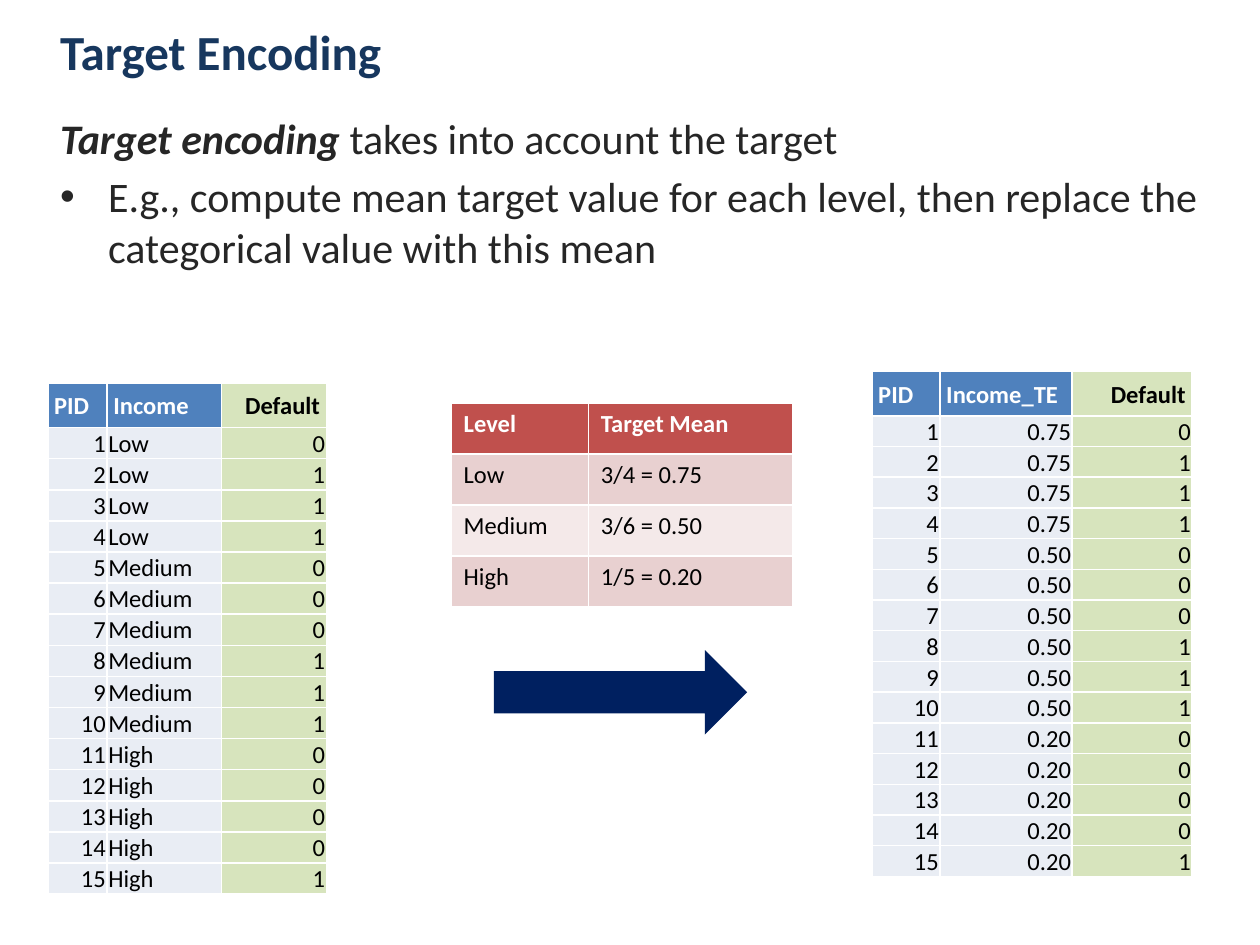
"""Build the Target Encoding slide."""
from dataclasses import dataclass

from lxml import etree
from pptx import Presentation
from pptx.dml.color import RGBColor
from pptx.enum.shapes import MSO_SHAPE
from pptx.enum.text import MSO_ANCHOR as ANCHOR, PP_ALIGN as ALIGN
from pptx.oxml.ns import qn
from pptx.util import Inches, Pt

FONT = "Calibri"
BLACK, WHITE, NAVY = "000000", "FFFFFF", "002060"
BLUE, PALE_BLUE, GREEN = "4F81BD", "E9EDF4", "D7E4BD"
RED, PINK, PALE_PINK = "C0504D", "E8D0D0", "F4E9E9"
HEADER_INSET = (0.05, 0.05, 0.05, 0.05)
DATA_INSET = (0.01, 0.01, 0.01, 0)
DEFAULT_INSET = (0.1, 0.05, 0.1, 0.05)

INCOMES = ["Low"] * 4 + ["Medium"] * 6 + ["High"] * 5
DEFAULTS = "011100011100001"
MEANS = {"Low": "3/4 = 0.75", "Medium": "3/6 = 0.50", "High": "1/5 = 0.20"}


@dataclass
class DataTable:
    left: float
    top: float
    widths: list[float]
    feature: str
    values: list[str]
    align: ALIGN


@dataclass
class CellStyle:
    fill: str
    color: str = BLACK
    bold: bool = False
    align: ALIGN = ALIGN.LEFT
    anchor: ANCHOR = ANCHOR.MIDDLE
    inset: tuple = DATA_INSET


def rgb(color: str) -> RGBColor:
    return RGBColor.from_string(color)


def style_run(r, size: float, color: str, bold: bool = False, italic: bool = False) -> None:
    r.font.name, r.font.size = FONT, Pt(size)
    r.font.bold, r.font.italic = bold, italic
    r.font.color.rgb = rgb(color)


def fill_cell(cell, text: str, style: CellStyle) -> None:
    cell.fill.solid()
    cell.fill.fore_color.rgb = rgb(style.fill)
    cell.vertical_anchor = style.anchor
    (cell.margin_left, cell.margin_top,
     cell.margin_right, cell.margin_bottom) = map(Inches, style.inset)
    cell.text_frame.text = text
    p = cell.text_frame.paragraphs[0]
    p.alignment = style.align
    style_run(p.runs[0], 14, style.color, style.bold)


def add_grid(slide, left: float, top: float, widths: list[float], height: float, rows: int):
    s = slide.shapes.add_table(rows, len(widths), Inches(left), Inches(top),
                               Inches(sum(widths)), Inches(height))
    for column, width in zip(s.table.columns, widths):
        column.width = Inches(width)
    return s


def add_data_table(slide, data: DataTable) -> None:
    s = add_grid(slide, data.left, data.top, data.widths, 3.99, len(DEFAULTS) + 1)
    for row in s.table.rows:
        row.height = Inches(0.22)
    s.height = Inches(3.99)
    blue = CellStyle(BLUE, WHITE, True, inset=HEADER_INSET)
    green = CellStyle(GREEN, BLACK, True, ALIGN.RIGHT, ANCHOR.TOP, HEADER_INSET)
    for col, (text, style) in enumerate([("PID", blue), (data.feature, blue), ("Default", green)]):
        cell = s.table.cell(0, col)
        fill_cell(cell, text, style)
        p = cell.text_frame.paragraphs[0]
        p.line_spacing, p.space_after = 1.07, Pt(8)
    styles = [CellStyle(PALE_BLUE, align=ALIGN.RIGHT),
              CellStyle(PALE_BLUE, align=data.align),
              CellStyle(GREEN, align=ALIGN.RIGHT)]
    for row, (value, default) in enumerate(zip(data.values, DEFAULTS), 1):
        for col, text in enumerate([str(row), value, default]):
            fill_cell(s.table.cell(row, col), text, styles[col])


def add_mean_table(slide) -> None:
    rows = [("Level", "Target Mean"), *MEANS.items()]
    s = add_grid(slide, 3.58, 3.2, [1.09, 1.62], 1.62, len(rows))
    for row, texts in enumerate(rows):
        fill = RED if row == 0 else PINK if row % 2 else PALE_PINK
        style = CellStyle(fill, WHITE if row == 0 else BLACK, row == 0,
                          anchor=ANCHOR.TOP, inset=DEFAULT_INSET)
        for col, text in enumerate(texts):
            fill_cell(s.table.cell(row, col), text, style)


def add_text_box(slide, left: float, top: float, width: float, height: float):
    s = slide.shapes.add_textbox(Inches(left), Inches(top), Inches(width), Inches(height))
    s.text_frame.word_wrap = True
    return s.text_frame


def add_title(slide) -> None:
    tf = add_text_box(slide, 0.38, 0.05, 8.2, 0.71)
    tf.vertical_anchor = ANCHOR.MIDDLE
    tf.text = "Target Encoding"
    style_run(tf.paragraphs[0].runs[0], 28, "17375E", True)


def add_body(slide) -> None:
    tf = add_text_box(slide, 0.38, 0.84, 9.24, 2.11)
    p = tf.paragraphs[0]
    for text, strong in [("Target encoding ", True), ("takes into account the target", False)]:
        r = p.add_run()
        r.text = text
        style_run(r, 24, "262626", strong, strong)
    p = tf.add_paragraph()
    p.text = ("E.g., compute mean target value for each level, "
              "then replace the categorical value with this mean")
    p.space_before = Pt(4.8)
    pPr = p._p.get_or_add_pPr()
    pPr.set("marL", str(Inches(0.38)))
    pPr.set("indent", str(Inches(-0.38)))
    etree.SubElement(pPr, qn("a:buFont")).set("typeface", "Arial")
    etree.SubElement(pPr, qn("a:buChar")).set("char", "•")
    style_run(p.runs[0], 24, "262626")


def add_arrow(slide) -> None:
    s = slide.shapes.add_shape(MSO_SHAPE.RIGHT_ARROW, Inches(3.92), Inches(5.16),
                               Inches(2.01), Inches(0.67))
    s.shadow.inherit = False
    s.fill.solid()
    s.fill.fore_color.rgb = rgb(NAVY)
    s.line.fill.background()


def main() -> None:
    prs = Presentation()
    prs.slide_width, prs.slide_height = Inches(10), Inches(7.5)
    slide = prs.slides.add_slide(prs.slide_layouts[6])
    encoded = [MEANS[level].split(" = ")[1] for level in INCOMES]
    add_data_table(slide, DataTable(0.38, 3.04, [0.47, 0.91, 0.83], "Income", INCOMES, ALIGN.LEFT))
    add_title(slide)
    add_body(slide)
    add_arrow(slide)
    add_mean_table(slide)
    add_data_table(slide, DataTable(6.92, 2.95, [0.54, 1.05, 0.95], "Income_TE", encoded, ALIGN.RIGHT))
    prs.save("out.pptx")


if __name__ == "__main__":
    main()
